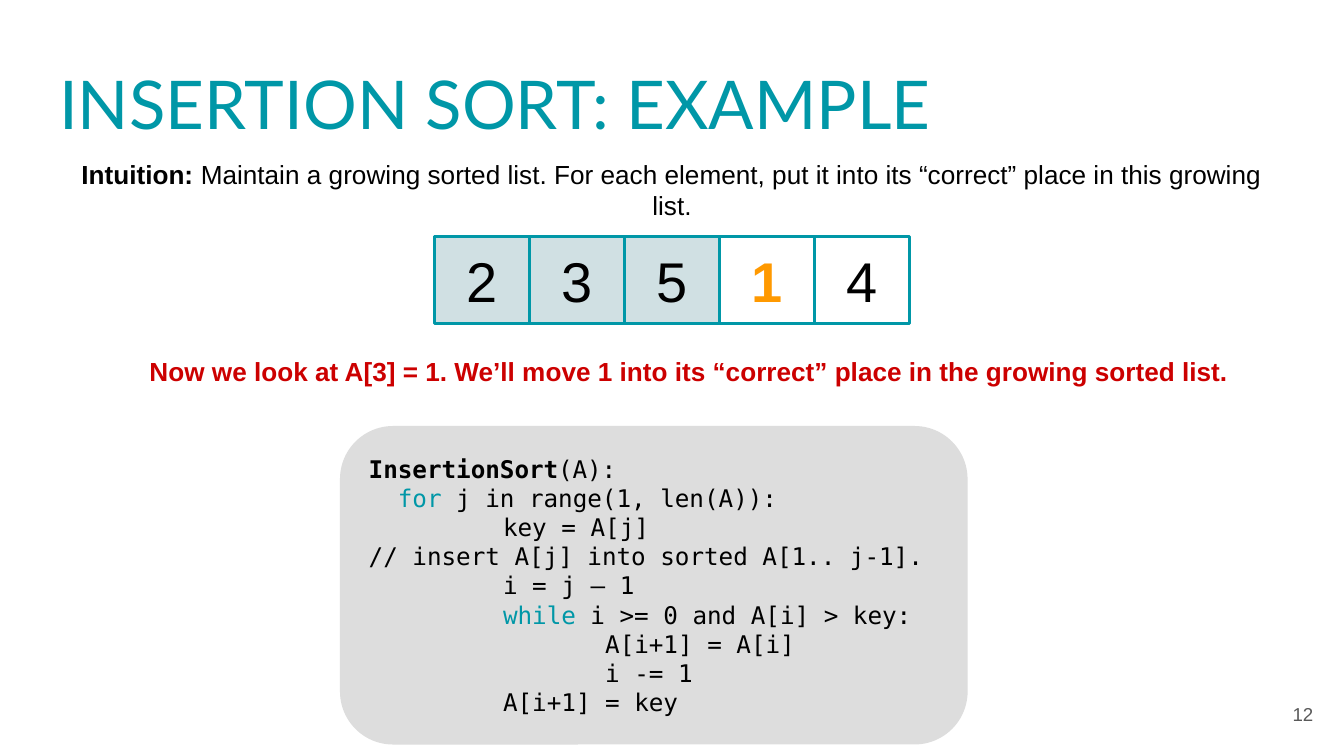
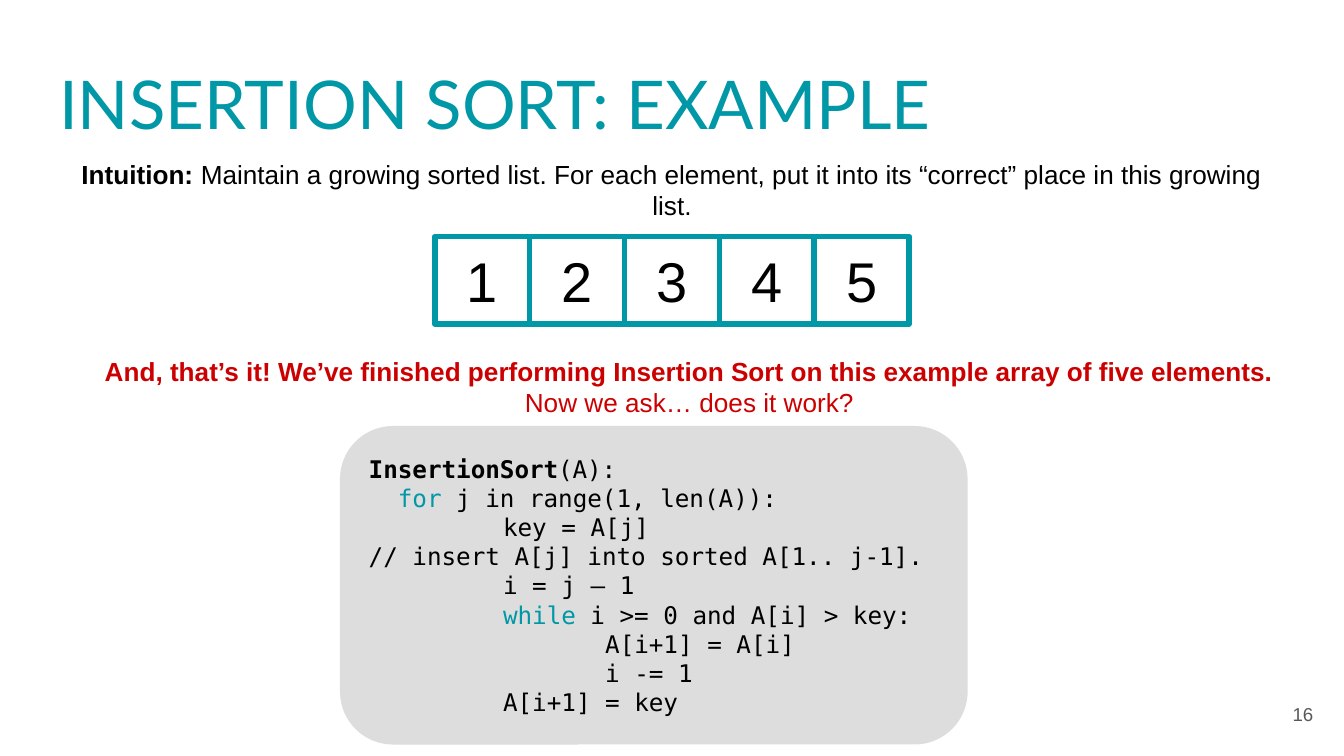
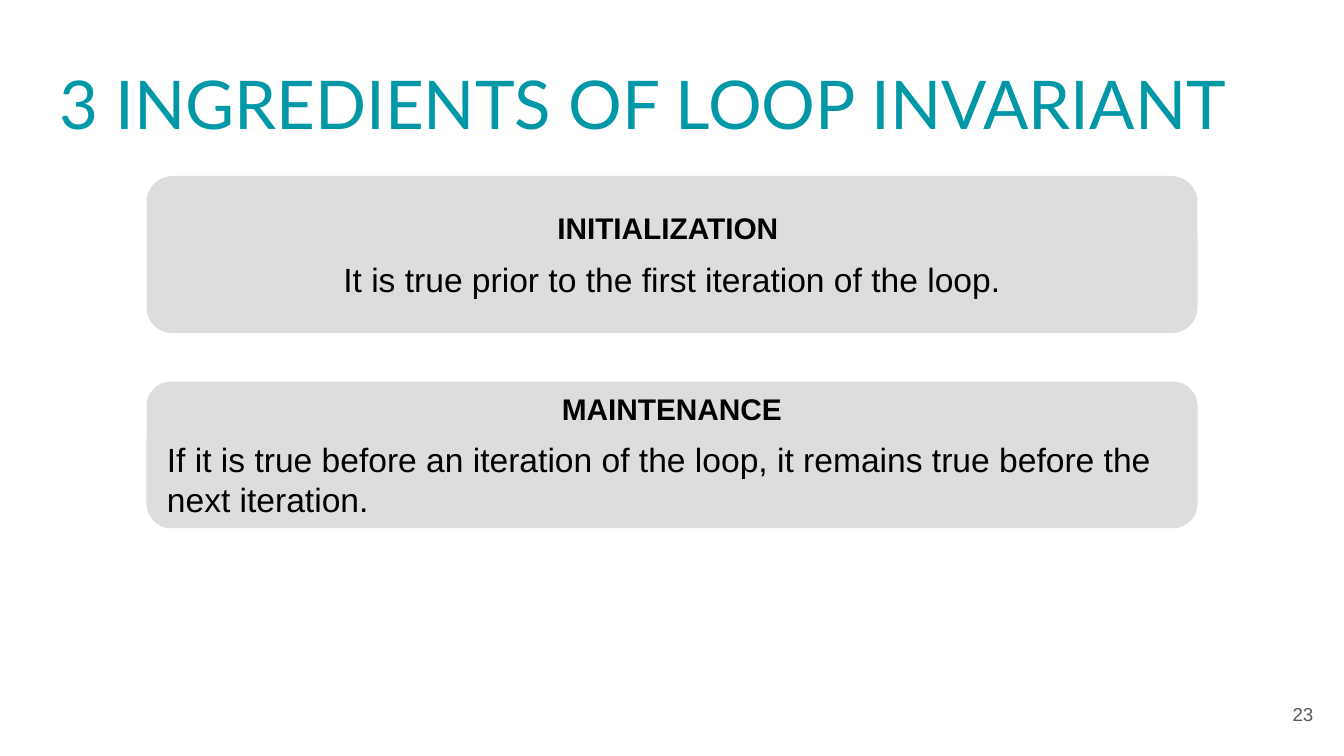
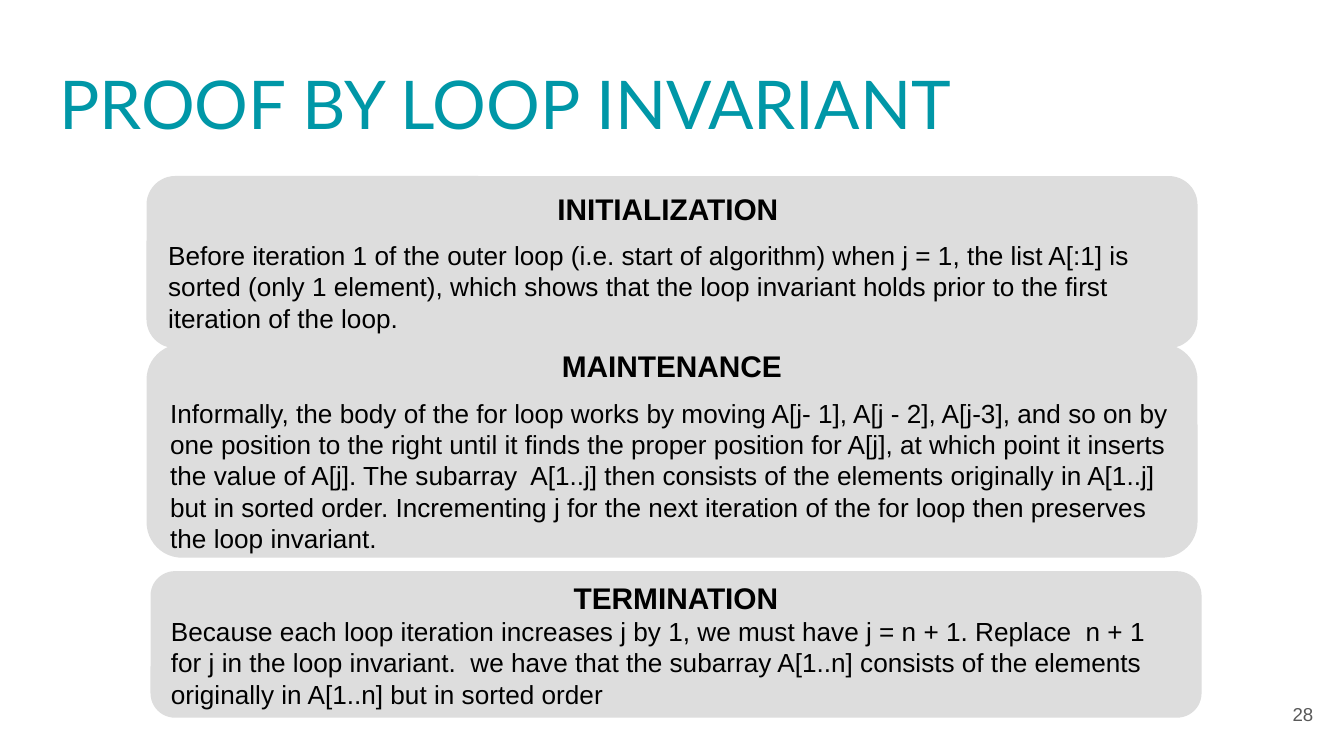
from typing import NamedTuple, Optional

from lxml import etree
from pptx import Presentation
from pptx.dml.color import RGBColor
from pptx.enum.shapes import MSO_SHAPE
from pptx.enum.text import MSO_ANCHOR, MSO_AUTO_SIZE, PP_ALIGN
from pptx.oxml.ns import qn
from pptx.util import Inches, Pt

RECTANGLE, ROUNDED = MSO_SHAPE.RECTANGLE, MSO_SHAPE.ROUNDED_RECTANGLE
LEFT, CENTER, RIGHT = PP_ALIGN.LEFT, PP_ALIGN.CENTER, PP_ALIGN.RIGHT
MIDDLE, NO_FIT = MSO_ANCHOR.MIDDLE, MSO_AUTO_SIZE.NONE

TEAL, BLACK, WHITE = "0097A7", "000000", "FFFFFF"
RED, ORANGE, GRAY = "CC0000", "FF9900", "595959"
PANEL_FILL, SORTED_FILL = "DDDDDD", "D0E0E3"
BODY_FONT, CODE_FONT, TITLE_FONT = "Arial", "DejaVu Sans Mono", "Lato"

PAGE_WIDTH = 10
PAGE_HEIGHT = PAGE_WIDTH * 9 / 16
TITLE_ONLY = 5
PADDING = 0.1
RAISED_BOTTOM = 0.33  # bottom inset that lifts text by half a line
CELL_COUNT, ARRAY_WIDTH = 5, 3.53
ARRAY_LEFT = (PAGE_WIDTH - ARRAY_WIDTH) / 2


class Box(NamedTuple):
    left: float
    top: float
    width: float
    height: float


class Span(NamedTuple):
    text: str
    color: str = BLACK
    bold: bool = False


class Para(NamedTuple):
    spans: list[Span]
    size: float
    align: PP_ALIGN = CENTER
    font: str = BODY_FONT
    space_before: float = 0
    tab: Optional[float] = None


class Cell(NamedTuple):
    value: str
    fill: Optional[str] = None
    color: str = BLACK
    bold: bool = False


class Panel(NamedTuple):
    box: Box
    heading: str
    text: str
    size: float
    align: PP_ALIGN = LEFT
    gap: float = 7


TITLE_BOX = Box(0.34, 0.41, 9.32, 0.71)
INTUITION_BOX = Box(0.34, 1.26, 9.32, 0.53)
MESSAGE_BOX = Box(0.61, 2.61, 9.04, 0.53)
NUMBER_BOX = Box(9.27, 5.1, 0.6, 0.43)
CODE_BOX = Box(2.53, 3.17, 4.67, 2.37)

INTUITION = [
    Span("Intuition: ", bold=True),
    Span("Maintain a growing sorted list. For each element, put it into its "
         "“correct” place in this growing list."),
]

CODE_LINES = [
    [Span("InsertionSort", bold=True), Span("(A):")],
    [Span("  "), Span("for", TEAL), Span(" j in range(1, len(A)):")],
    [Span(" \tkey = A[j]")],
    [Span("// insert A[j] into sorted A[1.. j-1].")],
    [Span("\ti = j – 1")],
    [Span("\t"), Span("while", TEAL), Span(" i >= 0 and A[i] > key:")],
    [Span("  \t       A[i+1] = A[i]")],
    [Span("\t       i -= 1")],
    [Span("\tA[i+1] = key")],
]


def rgb(color: str) -> RGBColor:
    return RGBColor.from_string(color)


def place(shape, box: Box) -> None:
    for name, length in box._asdict().items():
        setattr(shape, name, Inches(length))


def add_tab_stop(paragraph, position: float) -> None:
    stops = etree.SubElement(paragraph._p.get_or_add_pPr(), qn("a:tabLst"))
    etree.SubElement(stops, qn("a:tab"), pos=str(Inches(position)), algn="l")


def write(shape, paras: list[Para], bottom: float = PADDING) -> None:
    """Fill a shape with paragraphs, centred vertically."""
    frame = shape.text_frame
    frame_format = {
        "word_wrap": True,
        "auto_size": NO_FIT,
        "vertical_anchor": MIDDLE,
        "margin_left": Inches(PADDING),
        "margin_right": Inches(PADDING),
        "margin_top": Inches(PADDING),
        "margin_bottom": Inches(bottom),
    }
    for name, value in frame_format.items():
        setattr(frame, name, value)
    for index, para in enumerate(paras):
        paragraph = frame.add_paragraph() if index else frame.paragraphs[0]
        paragraph.alignment = para.align
        if para.space_before:
            paragraph.space_before = Pt(para.space_before)
        if para.tab:
            add_tab_stop(paragraph, para.tab)
        for span in para.spans:
            run = paragraph.add_run()
            run.text = span.text
            run_format = {"name": para.font, "size": Pt(para.size), "bold": span.bold}
            for name, value in run_format.items():
                setattr(run.font, name, value)
            run.font.color.rgb = rgb(span.color)


def add_text(slide, box: Box, paras: list[Para], bottom: float = PADDING) -> None:
    write(slide.shapes.add_textbox(*map(Inches, box)), paras, bottom)


def add_block(slide, kind: MSO_SHAPE, box: Box, fill: Optional[str],
              paras: list[Para], line_width: float = 0) -> None:
    shape = slide.shapes.add_shape(kind, *map(Inches, box))
    shape.shadow.inherit = False
    if fill:
        shape.fill.solid()
        shape.fill.fore_color.rgb = rgb(fill)
    else:
        shape.fill.background()
    if line_width:
        shape.line.color.rgb = rgb(TEAL)
        shape.line.width = Pt(line_width)
    else:
        shape.line.fill.background()
    write(shape, paras)


def add_page(deck, title: str, number: int):
    """Add a slide with its title and page number."""
    slide = deck.slides.add_slide(deck.slide_layouts[TITLE_ONLY])
    heading = slide.shapes.title
    place(heading, TITLE_BOX)
    heading.line.color.rgb = rgb(WHITE)
    heading.line.width = Pt(2.25)
    write(heading, [Para([Span(title, TEAL)], 36, LEFT, TITLE_FONT)])
    add_text(slide, NUMBER_BOX, [Para([Span(str(number), GRAY)], 10, RIGHT)])
    return slide


def add_array(slide, cells: list[Cell], line_width: float) -> None:
    width = ARRAY_WIDTH / CELL_COUNT
    for index, cell in enumerate(cells):
        box = Box(ARRAY_LEFT + index * width, 1.76, width, 0.65)
        digit = Span(cell.value, cell.color, cell.bold)
        add_block(slide, RECTANGLE, box, cell.fill, [Para([digit], 30)], line_width)


def add_example_page(deck, number: int, cells: list[Cell], line_width: float,
                     message: list[Span], message_bottom: float) -> None:
    slide = add_page(deck, "INSERTION SORT: EXAMPLE", number)
    add_text(slide, INTUITION_BOX, [Para(INTUITION, 14)], RAISED_BOTTOM)
    add_array(slide, cells, line_width)
    add_text(slide, MESSAGE_BOX, [Para([span], 14) for span in message], message_bottom)
    code = [Para(spans, 13, LEFT, CODE_FONT, tab=1) for spans in CODE_LINES]
    add_block(slide, ROUNDED, CODE_BOX, PANEL_FILL, code)


def add_panel_page(deck, title: str, number: int, panels: list[Panel]) -> None:
    slide = add_page(deck, title, number)
    for panel in panels:
        paras = [
            Para([Span(panel.heading, bold=True)], 16),
            Para([Span(panel.text)], panel.size, panel.align, space_before=panel.gap),
        ]
        add_block(slide, ROUNDED, panel.box, PANEL_FILL, paras)


def main() -> None:
    deck = Presentation()
    deck.slide_width, deck.slide_height = Inches(PAGE_WIDTH), Inches(PAGE_HEIGHT)

    inserting = [Cell(value, SORTED_FILL) for value in "235"]
    inserting += [Cell("1", WHITE, ORANGE, True), Cell("4", WHITE)]
    add_example_page(deck, 12, inserting, 1.5, [
        Span("Now we look at A[3] = 1. We’ll move 1 into its “correct” place "
             "in the growing sorted list.", RED, True),
    ], RAISED_BOTTOM)
    add_example_page(deck, 16, [Cell(value) for value in "12345"], 3, [
        Span("And, that’s it! We’ve finished performing Insertion Sort on this "
             "example array of five elements.", RED, True),
        Span("Now we ask… does it work?", RED),
    ], PADDING)

    add_panel_page(deck, "3 INGREDIENTS OF LOOP INVARIANT", 23, [
        Panel(Box(1.09, 1.31, 7.82, 1.17), "INITIALIZATION ",
              "It is true prior to the first iteration of the loop.", 18, CENTER),
        Panel(Box(1.09, 2.84, 7.82, 1.09), "MAINTENANCE",
              "If it is true before an iteration of the loop, it remains true "
              "before the next iteration.", 18),
    ])
    add_panel_page(deck, "PROOF BY LOOP INVARIANT", 28, [
        Panel(Box(1.09, 1.31, 7.82, 1.28), "INITIALIZATION ",
              "Before iteration 1 of the outer loop (i.e. start of algorithm) when "
              "j = 1, the list A[:1] is sorted (only 1 element), which shows that "
              "the loop invariant holds prior to the first iteration of the loop.", 14),
        Panel(Box(1.09, 2.56, 7.82, 1.59), "MAINTENANCE",
              "Informally, the body of the for loop works by moving A[j- 1], "
              "A[j - 2], A[j-3], and so on by one position to the right until it "
              "finds the proper position for A[j], at which point it inserts the "
              "value of A[j]. The subarray  A[1..j] then consists of the elements "
              "originally in A[1..j] but in sorted order. Incrementing j for the "
              "next iteration of the for loop then preserves the loop invariant.", 14),
        Panel(Box(1.12, 4.25, 7.82, 1.09), "TERMINATION",
              "Because each loop iteration increases j by 1, we must have j = n + 1. "
              "Replace  n + 1 for j in the loop invariant.  we have that the subarray "
              "A[1..n] consists of the elements originally in A[1..n] but in sorted "
              "order", 14, gap=0),
    ])
    deck.save("out.pptx")


if __name__ == "__main__":
    main()
